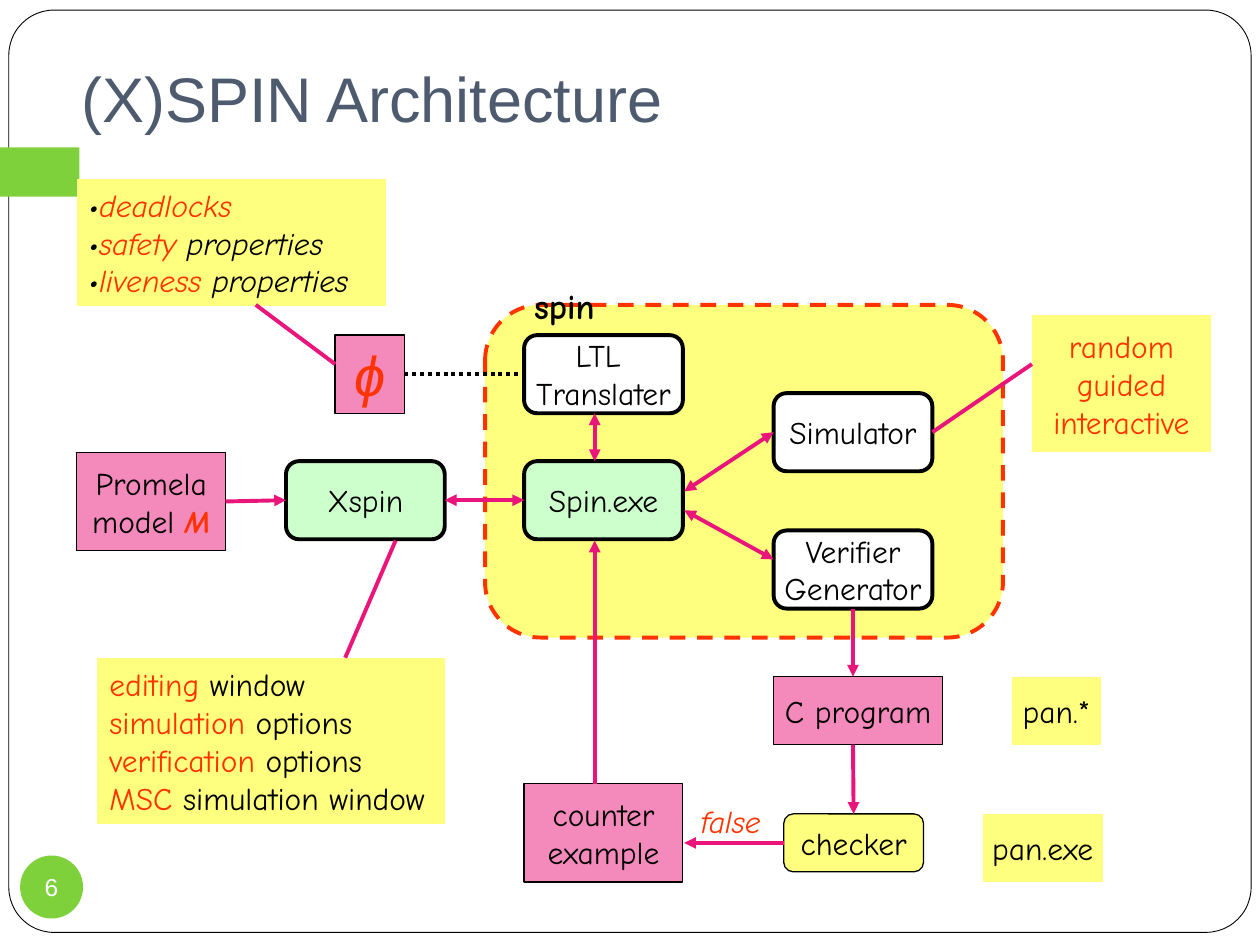
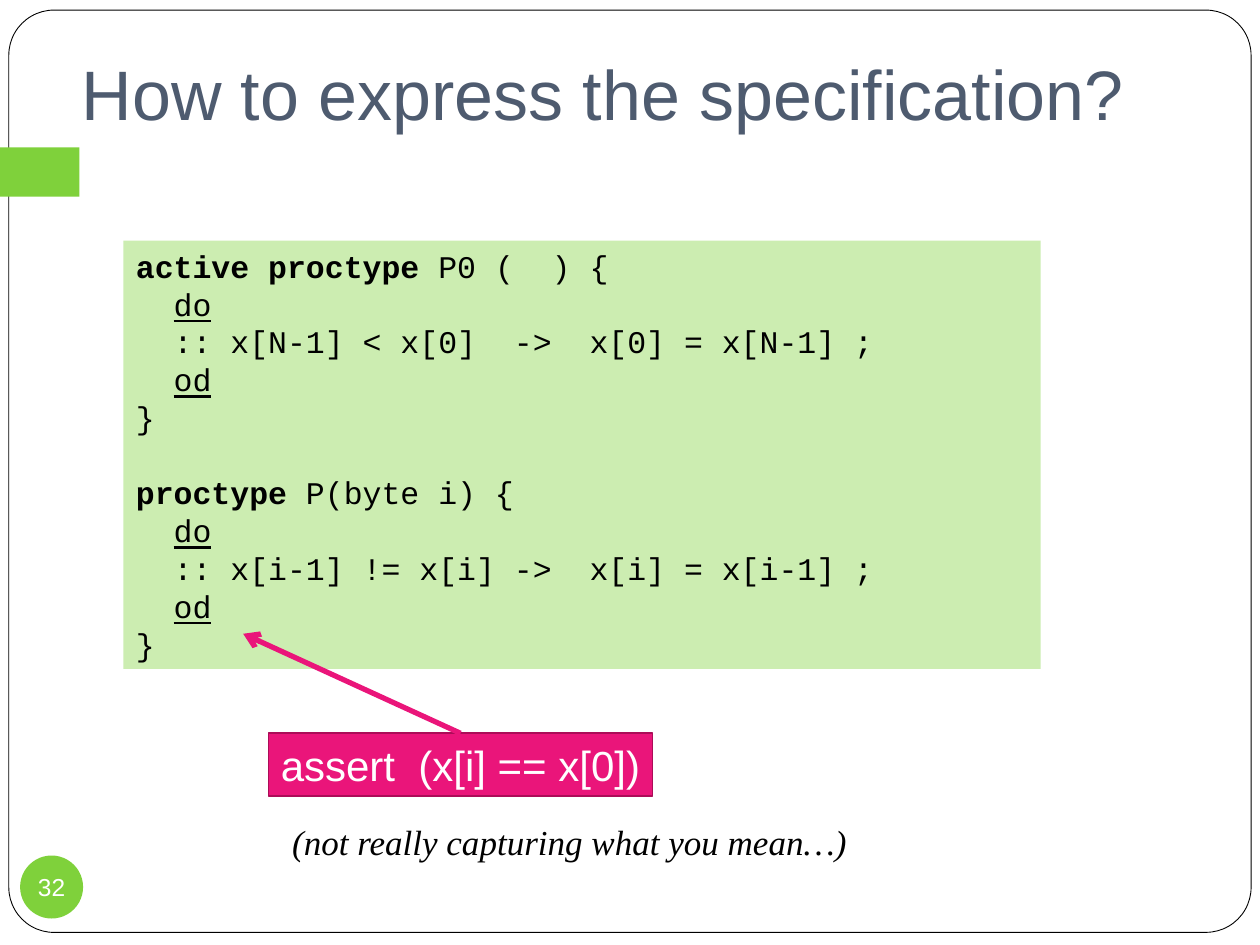
from dataclasses import dataclass
from typing import NamedTuple, Optional, Union

from lxml.etree import SubElement
from pptx import Presentation
from pptx.dml.color import RGBColor
from pptx.enum.dml import MSO_LINE
from pptx.enum.shapes import MSO_CONNECTOR, MSO_SHAPE
from pptx.enum.text import MSO_ANCHOR, PP_ALIGN
from pptx.oxml.ns import qn
from pptx.shapes.autoshape import Shape
from pptx.shapes.connector import Connector
from pptx.slide import Slide
from pptx.util import Inches, Pt

TOP, LEFT, BOTTOM, RIGHT = range(4)


@dataclass(frozen=True)
class Theme:
    """Colours, fonts and type sizes shared by the slides."""
    white: str = "FFFFFF"
    black: str = "000000"
    green: str = "7FD13B"
    slate: str = "4E5B6F"
    pink: str = "EA157A"
    dark_pink: str = "AC0C58"
    yellow: str = "FFFF7F"
    mint: str = "CCFFCC"
    code_green: str = "CCEDB1"
    red: str = "FF3300"
    sans: str = "Arial"
    comic: str = "Comic Neue"
    mono: str = "Courier New"
    serif: str = "Times New Roman"
    body: int = 18
    number: int = 14
    note: int = 20
    callout: int = 24
    symbol: int = 32


THEME = Theme()


class Run(NamedTuple):
    """A stretch of text in one format."""
    text: str
    color: str = THEME.black
    bold: bool = False
    italic: bool = False
    underline: bool = False


class Line(NamedTuple):
    """One paragraph of runs, with the space before it in points."""
    runs: tuple[Run, ...]
    space_before: float = 0


class Style(NamedTuple):
    """The outline, fill and line of a shape; without an outline it is a text box."""
    outline: Optional[MSO_SHAPE] = None
    fill: Optional[str] = None
    line: Optional[str] = None
    width: float = 0.75
    opacity: int = 100
    dash: Optional[MSO_LINE] = None


class Box(NamedTuple):
    """A placed shape with its text."""
    name: str
    left: float
    top: float
    width: float
    height: float
    style: Style
    lines: tuple[Line, ...] = ()
    align: PP_ALIGN = PP_ALIGN.CENTER
    font: str = THEME.comic
    size: int = THEME.body
    anchor: MSO_ANCHOR = MSO_ANCHOR.MIDDLE
    insets: tuple[float, float, float, float] = (0.1, 0.05, 0.1, 0.05)
    wrap: bool = False


class Side(NamedTuple):
    """The middle of one side of a named box."""
    box: str
    site: int


class Point(NamedTuple):
    """A free position on the slide."""
    x: float
    y: float


class Link(NamedTuple):
    """A straight line between two ends, with optional arrowheads."""
    start: Union[Side, Point]
    end: Union[Side, Point]
    head: Optional[str] = None
    tail: Optional[str] = None
    color: str = THEME.pink
    width: float = 2.25
    dash: Optional[MSO_LINE] = None


PLAIN = Style()
STEP = Style(MSO_SHAPE.FLOWCHART_ALTERNATE_PROCESS, THEME.white, THEME.black, 2.25)
PROGRAM = STEP._replace(fill=THEME.mint)
CHECKER = STEP._replace(fill=THEME.yellow, width=0.75)
REGION = STEP._replace(fill=THEME.yellow, line=THEME.red, dash=MSO_LINE.DASH)
NOTE = Style(MSO_SHAPE.FLOWCHART_PROCESS, THEME.yellow)
DATA = Style(MSO_SHAPE.FLOWCHART_PROCESS, THEME.pink, THEME.black, opacity=50)
FRAME = Style(MSO_SHAPE.ROUNDED_RECTANGLE, THEME.white, THEME.black, 0.5)
BAND = Style(MSO_SHAPE.RECTANGLE, THEME.green)
BADGE = Style(MSO_SHAPE.OVAL, THEME.green)
CODE = Style(MSO_SHAPE.RECTANGLE, THEME.code_green)
CALLOUT = Style(MSO_SHAPE.RECTANGLE, THEME.pink, THEME.dark_pink, 1)


def plain(*texts: str, **formats) -> tuple[Line, ...]:
    """Make one single-format line from each text."""
    return tuple(Line((Run(text, **formats),)) for text in texts)


def red_then_black(red: str, black: str) -> Line:
    """Make a line with a red keyword and a black rest."""
    return Line((Run(red, THEME.red), Run(black)))


def property_line(kind: str, rest: str = "") -> Line:
    """Make an italic line with a typed bullet and a red keyword."""
    runs = (Run("•", italic=True), Run(kind, THEME.red, italic=True))
    return Line(runs + ((Run(rest, italic=True),) if rest else ()))


def process_code(keyword: str, signature: str, rule: str, gap: float = 0) -> tuple[Line, ...]:
    """Make the lines of a process holding one loop."""
    loop_start, loop_end = (Line((Run("  "), Run(word, underline=True))) for word in ("do", "od"))
    opening = Line((Run(keyword, bold=True), Run(signature)), gap)
    return (opening, loop_start, *plain(rule), loop_end, *plain("}"))


def write_text(shape: Shape, box: Box) -> None:
    """Fill a shape with the lines of its box."""
    frame = shape.text_frame
    frame.word_wrap = box.wrap
    frame.vertical_anchor = box.anchor
    frame.margin_left, frame.margin_top, frame.margin_right, frame.margin_bottom = map(Inches, box.insets)
    for index, line in enumerate(box.lines):
        paragraph = frame.paragraphs[0] if index == 0 else frame.add_paragraph()
        paragraph.alignment = box.align
        if line.space_before:
            paragraph.space_before = Pt(line.space_before)
        paragraph.font.name = box.font
        paragraph.font.size = Pt(box.size)
        written = [(paragraph.add_run(), run) for run in line.runs]
        for run, source in written:
            run.text = source.text
        for attribute in ("color", "bold", "italic", "underline"):
            values = [getattr(run, attribute) for run in line.runs]
            agreed = len(set(values)) == 1
            fonts = [paragraph.font] if agreed else [run.font for run, _ in written]
            for font, value in zip(fonts, values):
                if attribute == "color":
                    font.color.rgb = RGBColor.from_string(value)
                elif value:
                    setattr(font, attribute, True)


def draw_box(slide: Slide, box: Box) -> Shape:
    """Draw a box and return its shape."""
    style = box.style
    place = [Inches(length) for length in (box.left, box.top, box.width, box.height)]
    if style.outline is None:
        shape = slide.shapes.add_textbox(*place)
    else:
        shape = slide.shapes.add_shape(style.outline, *place)
        shape.shadow.inherit = False
        shape.fill.solid()
        shape.fill.fore_color.rgb = RGBColor.from_string(style.fill)
        if style.opacity < 100:
            color = shape.fill._xPr.find(qn("a:solidFill"))[0]
            SubElement(color, qn("a:alpha"), val=str(style.opacity * 1000))
        if style.line:
            shape.line.color.rgb = RGBColor.from_string(style.line)
            shape.line.width = Pt(style.width)
            if style.dash:
                shape.line.dash_style = style.dash
        else:
            shape.line.fill.background()
    if box.lines:
        write_text(shape, box)
    return shape


def draw_link(slide: Slide, link: Link, shapes: dict[str, Shape]) -> Connector:
    """Draw a connector, joined to its boxes where it ends at a side."""
    start, end = (Point(0, 0) if isinstance(tip, Side) else tip for tip in (link.start, link.end))
    connector = slide.shapes.add_connector(MSO_CONNECTOR.STRAIGHT, *map(Inches, (*start, *end)))
    for tip, join in ((link.start, connector.begin_connect), (link.end, connector.end_connect)):
        if isinstance(tip, Side):
            join(shapes[tip.box], tip.site)
    connector.line.color.rgb = RGBColor.from_string(link.color)
    connector.line.width = Pt(link.width)
    if link.dash:
        connector.line.dash_style = link.dash
    for tag, kind in (("a:headEnd", link.head), ("a:tailEnd", link.tail)):
        if kind:
            SubElement(connector.line._get_or_add_ln(), qn(tag), type=kind)
    SubElement(connector._element.spPr, qn("a:effectLst"))
    return connector


def build_slide(presentation: Presentation, title: str, title_size: int, number: int,
                boxes: list[Box], links: list[Link]) -> None:
    """Add a slide with the shared frame, title and number, then its diagram."""
    slide = presentation.slides.add_slide(presentation.slide_layouts[6])
    frame = draw_box(slide, Box("frame", 0.07, 0.08, 9.86, 7.32, FRAME))
    frame.adjustments[0] = 0.049
    draw_box(slide, Box("band", 0, 1.17, 0.63, 0.39, BAND))
    draw_box(slide, Box("title", 0.55, 0.3, 9.14, 0.87, PLAIN, plain(title, color=THEME.slate),
                        PP_ALIGN.LEFT, THEME.sans, title_size, MSO_ANCHOR.BOTTOM,
                        (0.1, 0.05, 0.1, 0.1), True))
    draw_box(slide, Box("number", 0.16, 6.79, 0.5, 0.5, BADGE, plain(str(number), color=THEME.white),
                        font=THEME.sans, size=THEME.number, insets=(0, 0, 0, 0)))
    shapes = {box.name: draw_box(slide, box) for box in boxes}
    for link in links:
        draw_link(slide, link, shapes)


def step(name: str, left: float, top: float, style: Style, *texts: str) -> Box:
    """Make a tool box of the common size."""
    return Box(name, left, top, 1.26, 0.62, style, plain(*texts))


ARCHITECTURE_BOXES = [
    Box("region", 3.85, 2.42, 4.11, 2.64, REGION),
    step("translater", 4.16, 2.66, STEP, "LTL ", "Translater"),
    step("spin", 4.16, 3.66, PROGRAM, "Spin.exe"),
    step("simulator", 6.14, 3.12, STEP, "Simulator"),
    step("verifier", 6.14, 4.21, STEP, "Verifier", "Generator"),
    step("xspin", 2.27, 3.66, PROGRAM, "Xspin"),
    Box("region label", 4.01, 2.21, 0.94, 0.44, PLAIN, plain("spin", bold=True),
        size=THEME.note, anchor=MSO_ANCHOR.TOP, wrap=True),
    Box("modes", 8.19, 2.5, 1.42, 1.09, NOTE,
        plain("random", "guided", "interactive", color=THEME.red)),
    Box("formula", 2.66, 2.66, 0.55, 0.62, DATA, plain("ϕ", color=THEME.red, italic=True),
        font=THEME.sans, size=THEME.symbol),
    Box("properties", 0.61, 1.42, 2.45, 1.01, NOTE,
        (property_line("deadlocks"), property_line("safety ", "properties"),
         property_line("liveness ", "properties")), PP_ALIGN.LEFT),
    Box("model", 0.61, 3.59, 1.18, 0.78, DATA,
        (*plain("Promela"), Line((Run("model "), Run("M", THEME.red, True, True))))),
    Box("windows", 0.77, 5.22, 2.76, 1.32, NOTE,
        (red_then_black("editing ", "window"), red_then_black("simulation ", "options"),
         red_then_black("verification ", "options"), red_then_black("MSC ", "simulation window")),
        PP_ALIGN.LEFT),
    Box("c program", 6.14, 5.37, 1.34, 0.54, DATA, plain("C program")),
    Box("checker", 6.22, 6.46, 1.11, 0.46, CHECKER, plain("checker")),
    Box("pan files", 8.03, 5.37, 0.71, 0.54, NOTE, plain("pan.*")),
    Box("pan program", 7.8, 6.46, 0.95, 0.54, NOTE, plain("pan.exe")),
    Box("counterexample", 4.16, 6.22, 1.26, 0.78, DATA, plain("counter", "example")),
    Box("verdict", 5.46, 6.32, 0.68, 0.4, PLAIN, plain("false", color=THEME.red, italic=True),
        anchor=MSO_ANCHOR.TOP),
]

BOTH = {"head": "triangle", "tail": "triangle"}
FORWARD = {"tail": "triangle"}
ARCHITECTURE_LINKS = [
    Link(Point(4.72, 3.28), Point(4.72, 3.66), **BOTH),
    Link(Point(5.43, 3.9), Side("simulator", LEFT), **BOTH),
    Link(Point(5.43, 4.05), Point(6.14, 4.44), **BOTH),
    Link(Point(8.19, 2.89), Side("simulator", RIGHT)),
    Link(Side("xspin", RIGHT), Side("spin", LEFT), **BOTH),
    Link(Side("formula", RIGHT), Side("translater", LEFT), color=THEME.black, dash=MSO_LINE.ROUND_DOT),
    Link(Point(2.03, 2.42), Point(2.66, 2.89)),
    Link(Side("model", RIGHT), Side("xspin", LEFT), **FORWARD),
    Link(Point(3.14, 4.29), Point(2.74, 5.22)),
    Link(Side("verifier", BOTTOM), Point(6.77, 5.37), **FORWARD),
    Link(Point(6.77, 5.91), Side("checker", TOP), **FORWARD),
    Link(Side("checker", LEFT), Point(5.43, 6.69), **FORWARD),
    Link(Point(4.72, 6.22), Point(4.72, 4.29), **FORWARD),
]

SPECIFICATION_BOXES = [
    Box("code", 0.98, 1.91, 7.28, 3.4, CODE,
        process_code("active proctype", " P0 (  ) {", "  :: x[N-1] < x[0]  ->  x[0] = x[N-1] ;")
        + process_code("proctype", " P(byte i) {", "  :: x[i-1] != x[i] ->  x[i] = x[i-1] ;", 21.5),
        PP_ALIGN.LEFT, THEME.mono, anchor=MSO_ANCHOR.TOP, wrap=True),
    Box("assertion", 2.13, 5.82, 3.05, 0.5, CALLOUT, plain("assert  (x[i] == x[0])", color=THEME.white),
        PP_ALIGN.LEFT, THEME.sans, THEME.callout, MSO_ANCHOR.TOP),
    Box("remark", 2.22, 6.46, 4.61, 0.44, PLAIN,
        plain("(not really capturing what you mean…)", italic=True),
        PP_ALIGN.LEFT, THEME.serif, THEME.note, MSO_ANCHOR.TOP),
]
SPECIFICATION_LINKS = [Link(Side("assertion", TOP), Point(1.93, 5.03), tail="arrow", width=3)]


def main() -> None:
    """Build and save the presentation."""
    presentation = Presentation()
    presentation.slide_width, presentation.slide_height = Inches(10), Inches(7.5)
    build_slide(presentation, "(X)SPIN Architecture", 36, 6, ARCHITECTURE_BOXES, ARCHITECTURE_LINKS)
    build_slide(presentation, "How to express the specification?", 40, 32,
                SPECIFICATION_BOXES, SPECIFICATION_LINKS)
    presentation.save("out.pptx")


if __name__ == "__main__":
    main()
